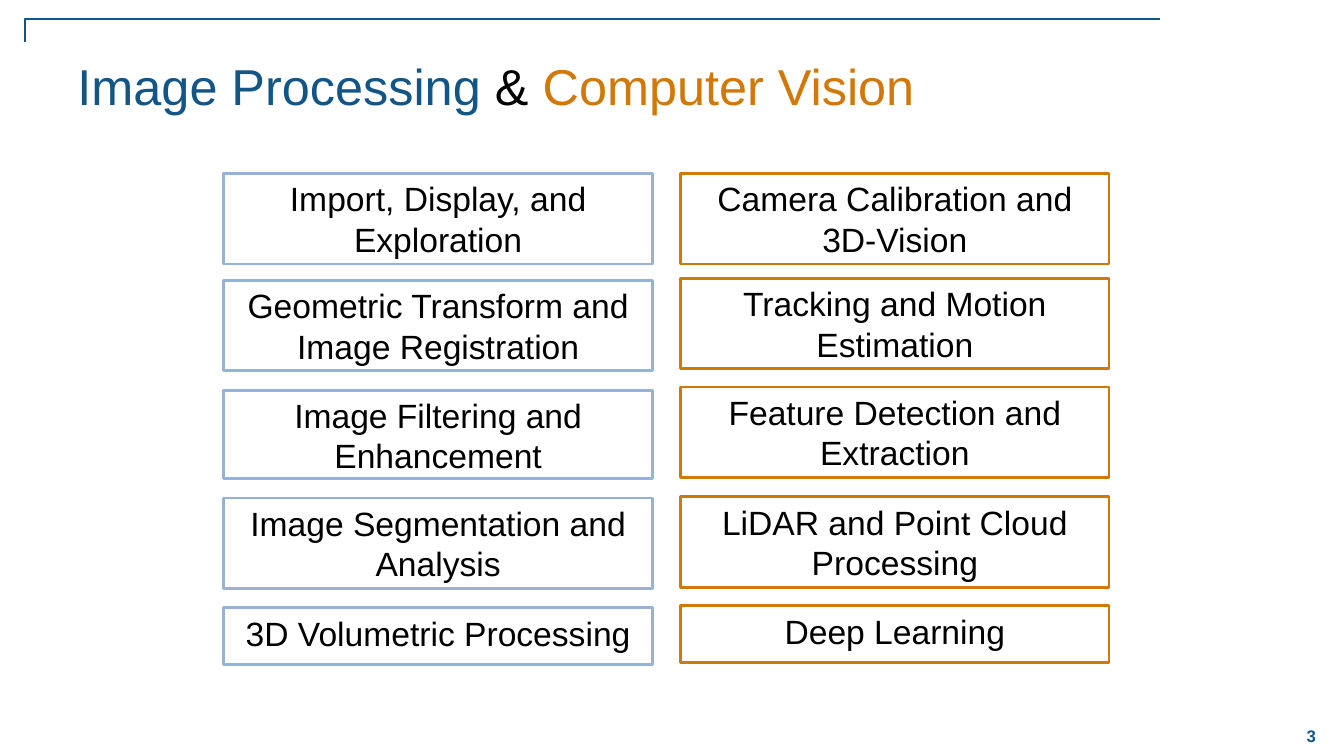
"""Build the Image Processing & Computer Vision topic slide."""
import pptx
import pptx.dml.color
import pptx.enum.shapes
import pptx.enum.text
import pptx.oxml
import pptx.oxml.ns
import pptx.util
import lxml.etree

WIDTH, HEIGHT = 13.33, 7.5
FONT = "Arial"
COLORS = {"blue": "125687", "orange": "D27809", "light_blue": "95B3D7",
          "black": "000000", "white": "FFFFFF"}
TITLE = [("Image Processing ", "blue"), ("& ", "black"), ("Computer Vision", "orange")]
PAGE_NUMBER = [("3", "blue")]
COLUMN_WIDTH = 4.25
TALL, SHORT = 0.9, 0.56
COLUMNS = [
    {"left": 2.22, "outline": "light_blue", "topics": [
        ("Import, Display, and Exploration", 1.72, TALL),
        ("Geometric Transform and Image Registration", 2.78, TALL),
        ("Image Filtering and Enhancement", 3.87, 0.88),
        ("Image Segmentation and Analysis", 4.94, TALL),
        ("3D Volumetric Processing", 6.03, SHORT)]},
    {"left": 6.75, "outline": "orange", "topics": [
        ("Camera Calibration and 3D-Vision", 1.72, TALL),
        ("Tracking and Motion Estimation", 2.76, TALL),
        ("Feature Detection and Extraction", 3.84, TALL),
        ("LiDAR and Point Cloud Processing", 4.93, TALL),
        ("Deep Learning", 6.01, SHORT)]},
]
CENTER = pptx.enum.text.PP_ALIGN.CENTER
LEFT = pptx.enum.text.PP_ALIGN.LEFT
TOP = pptx.enum.text.MSO_ANCHOR.TOP
MIDDLE = pptx.enum.text.MSO_ANCHOR.MIDDLE


def inches(*lengths):
    return [pptx.util.Inches(length) for length in lengths]


def color(name):
    return pptx.dml.color.RGBColor.from_string(COLORS[name])


def write(shape, runs, size, align=LEFT, anchor=TOP, bold=False):
    frame = shape.text_frame
    frame.word_wrap = True
    frame.vertical_anchor = anchor
    paragraph = frame.paragraphs[0]
    paragraph.alignment = align
    for text, name in runs:
        run = paragraph.add_run()
        run.text = text
        run.font.name = FONT
        run.font.size = pptx.util.Pt(size)
        run.font.bold = bold
        run.font.color.rgb = color(name)
    return paragraph


def add_corner_line(slide):
    line = slide.shapes.add_connector(
        pptx.enum.shapes.MSO_CONNECTOR.ELBOW, *inches(11.51, 0.19, 0.25, 0.42))
    line.line.color.rgb = color("blue")
    line.line.width = pptx.util.Pt(1)
    qn = pptx.oxml.ns.qn
    properties = line._element.spPr
    adjustments = properties.find(qn("a:prstGeom")).find(qn("a:avLst"))
    lxml.etree.SubElement(adjustments, qn("a:gd"), name="adj1", fmla="val 100000")
    lxml.etree.SubElement(properties, qn("a:effectLst"))


def add_topic(slide, text, left, top, height, outline):
    box = slide.shapes.add_shape(
        pptx.enum.shapes.MSO_SHAPE.RECTANGLE, *inches(left, top, COLUMN_WIDTH, height))
    box.shadow.inherit = False
    box.fill.solid()
    box.fill.fore_color.rgb = color("white")
    box.line.color.rgb = color(outline)
    box.line.width = pptx.util.Pt(2)
    paragraph = write(box, [(text, "black")], 24, CENTER)
    paragraph.space_before = pptx.util.Pt(4.8)


def main():
    presentation = pptx.Presentation()
    presentation.slide_width, presentation.slide_height = inches(WIDTH, HEIGHT)
    slide = presentation.slides.add_slide(presentation.slide_layouts[6])
    number = slide.shapes.add_textbox(*inches(12.67, 7.09, 0.67, 0.42))
    write(number, PAGE_NUMBER, 12, CENTER, MIDDLE, bold=True)
    add_corner_line(slide)
    title = slide.shapes.add_textbox(*inches(0.67, 0.5, 11.78, 1.08))
    write(title, TITLE, 36)
    for column in COLUMNS:
        for text, top, height in column["topics"]:
            add_topic(slide, text, column["left"], top, height, column["outline"])
    presentation.save("out.pptx")


if __name__ == "__main__":
    main()
